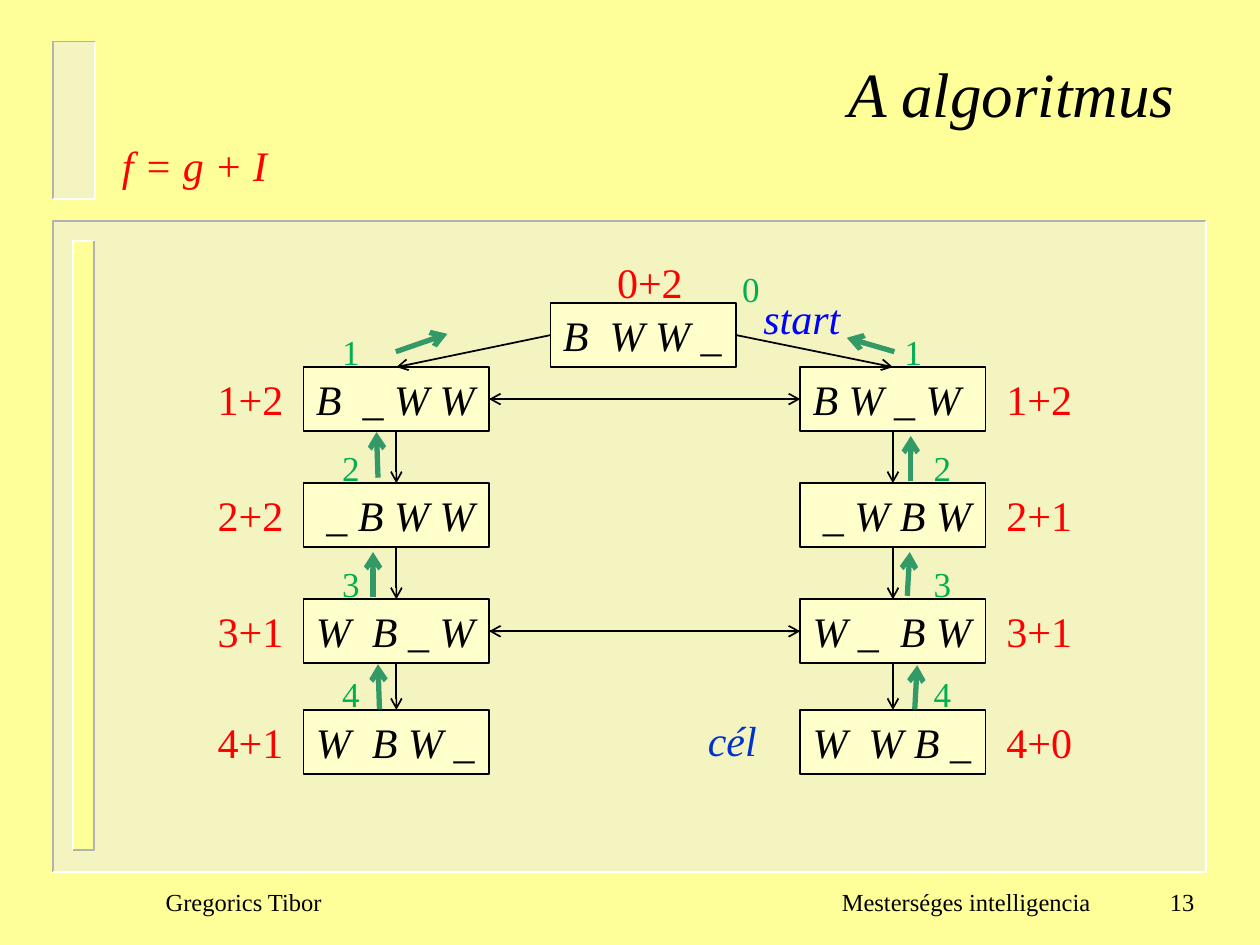
from typing import NamedTuple

from lxml import etree
from pptx import Presentation
from pptx import util as u
from pptx.dml.color import RGBColor
from pptx.enum import shapes as sh, text as tx
from pptx.oxml.ns import qn

FONT = "Times New Roman"
BLACK, RED, GREEN, ARROW = "000000", "FF0000", "00B050", "339966"
YELLOW, CREAM, PALE = "FFFF99", "FFFFCC", "EAEAEA"
GREY, WHITE = "B2B2B2", "FFFFFF"
ROWS = [7.4, 9.74, 12.08, 14.31]
BOX_W, BOX_H = 3.74, 1.29
TOP, LEFT, BOTTOM, RIGHT = range(4)


class Panel(NamedTuple):
    x: float
    y: float
    w: float
    h: float
    fill: str
    alpha: int
    upper: str
    lower: str


class Label(NamedTuple):
    text: str
    x: float
    y: float
    w: float
    size: int = 24
    color: str = RED
    italic: bool = False


class Branch(NamedTuple):
    x: float
    states: list[str]
    costs: list[str]
    cost_x: float
    depth_x: list[float]
    backs: list[tuple[float, float, float, float]]


PANELS = [
    Panel(1.07, 4.45, 23.24, 13.13, PALE, 50, GREY, WHITE),
    Panel(1.47, 4.86, 0.43, 12.28, YELLOW, 100, WHITE, GREY),
    Panel(1.07, 0.84, 0.85, 3.17, PALE, 50, GREY, WHITE),
]
BRANCHES = [
    Branch(6.12, ["B  _ W W", " _ B W W", "W  B _ W", "W  B W _"],
           ["1+2", "2+2", "3+1", "4+1"], 4.14, [6.65] * 4,
           [(7.98, 7.09, 9.02, 6.73), (7.62, 9.63, 7.59, 8.71),
            (7.52, 12.04, 7.52, 11.13), (7.65, 14.3, 7.62, 13.39)]),
    Branch(16.13, ["B W _ W", " _ W B W", "W _  B W", "W  W B _"],
           ["1+2", "2+1", "3+1", "4+0"], 20.04, [17.98] + [18.57] * 3,
           [(18.03, 7.09, 17.07, 6.81), (18.36, 9.7, 18.36, 8.79),
            (18.29, 12.01, 18.34, 11.13), (18.44, 14.3, 18.49, 13.41)]),
]
LABELS = [
    Label("f = g + I", 2.21, 2.69, 3.48, italic=True),
    Label("0+2", 12.19, 5.05, 1.85),
    Label("0", 14.71, 5.26, 1.07, 20, GREEN),
    Label("start", 15.14, 5.77, 2.08, color="0000FF", italic=True),
    Label("cél", 14.02, 14.27, 1.5, color="0033CC", italic=True),
]


def rgb(color: str) -> RGBColor:
    return RGBColor.from_string(color)


def style(shape, size: int, color: str, italic: bool = False) -> None:
    """Format every run of the shape's text."""
    for para in shape.text_frame.paragraphs:
        for run in para.runs:
            run.font.name = FONT
            run.font.size = u.Pt(size)
            run.font.italic = italic
            run.font.color.rgb = rgb(color)


def add_label(slide, label: Label, h: float = 1.27):
    box = slide.shapes.add_textbox(
        u.Cm(label.x), u.Cm(label.y), u.Cm(label.w), u.Cm(h))
    frame = box.text_frame
    frame.word_wrap = True
    frame.margin_right = 0
    frame.text = label.text
    style(box, label.size, label.color, label.italic)
    return box


def add_rect(slide, x: float, y: float, w: float, h: float, fill: str):
    rect = slide.shapes.add_shape(
        sh.MSO_SHAPE.RECTANGLE, u.Cm(x), u.Cm(y), u.Cm(w), u.Cm(h))
    rect.shadow.inherit = False
    rect.fill.solid()
    rect.fill.fore_color.rgb = rgb(fill)
    return rect


def add_panel(slide, panel: Panel) -> None:
    """Draw a filled panel with a bevel of two L-shaped edges."""
    x, y, w, h, fill, alpha, upper, lower = panel
    rect = add_rect(slide, x, y, w, h, fill)
    rect.line.fill.background()
    color = rect.fill._xPr.find(".//" + qn("a:srgbClr"))
    etree.SubElement(color, qn("a:alpha"), val=str(alpha * 1000))
    for corner, tint in (((x, y), upper), ((x + w, y + h), lower)):
        form = slide.shapes.build_freeform(u.Cm(x + w), u.Cm(y))
        points = [corner, (x, y + h)]
        form.add_line_segments([(u.Cm(a), u.Cm(b)) for a, b in points], close=False)
        edge = form.convert_to_shape()
        edge.shadow.inherit = False
        edge.fill.background()
        edge.line.color.rgb = rgb(tint)
        edge.line.width = u.Pt(1)


def add_state(slide, text: str, x: float, y: float):
    box = add_rect(slide, x, y, BOX_W, BOX_H, CREAM)
    box.line.color.rgb = rgb(BLACK)
    box.line.width = u.Pt(1)
    frame = box.text_frame
    frame.margin_right = 0
    frame.word_wrap = True
    frame.vertical_anchor = tx.MSO_ANCHOR.TOP
    frame.text = text
    frame.paragraphs[0].alignment = tx.PP_ALIGN.LEFT
    style(box, 24, BLACK, True)
    return box


def add_arrow(slide, ends=(0, 0, 0, 0), color: str = BLACK, width: float = 1):
    line = slide.shapes.add_connector(
        sh.MSO_CONNECTOR.STRAIGHT, *(u.Cm(end) for end in ends))
    line.line.color.rgb = rgb(color)
    line.line.width = u.Pt(width)
    etree.SubElement(line.line._get_or_add_ln(), qn("a:tailEnd"), type="arrow")
    etree.SubElement(line._element.spPr, qn("a:effectLst"))
    return line


def join(slide, start, side: int, end, other: int) -> None:
    line = add_arrow(slide)
    line.begin_connect(start, side)
    line.end_connect(end, other)


def add_branch(slide, branch: Branch) -> list:
    boxes = []
    for i, y in enumerate(ROWS):
        boxes.append(add_state(slide, branch.states[i], branch.x, y))
        add_label(slide, Label(branch.costs[i], branch.cost_x, y, 1.85))
        add_label(slide, Label(str(i + 1), branch.depth_x[i], y - 0.87,
                               0.95, 20, GREEN), 1.12)
        add_arrow(slide, branch.backs[i], ARROW, 3)
    for start, end in zip(boxes, boxes[1:]):
        join(slide, start, BOTTOM, end, TOP)
    return boxes


def add_title(slide) -> None:
    title = slide.shapes.title
    title.left, title.top = u.Cm(2.34), u.Cm(0.97)
    title.width, title.height = u.Cm(21.59), u.Cm(3.07)
    frame = title.text_frame
    frame.text = "A algoritmus"
    frame.vertical_anchor = tx.MSO_ANCHOR.TOP
    frame.paragraphs[0].alignment = tx.PP_ALIGN.RIGHT
    style(title, 36, BLACK, True)


def add_footer(slide) -> None:
    foot = add_label(slide, Label("Gregorics Tibor\tMesterséges intelligencia",
                                  3.09, 17.55, 19.4, 14, BLACK))
    props = foot.text_frame.paragraphs[0]._p.get_or_add_pPr()
    tabs = etree.SubElement(props, qn("a:tabLst"))
    etree.SubElement(tabs, qn("a:tab"), pos=str(u.Cm(18.65)), algn="r")
    page = add_label(slide, Label("13", 22.5, 17.55, 1.58, 14, BLACK))
    page.text_frame.paragraphs[0].alignment = tx.PP_ALIGN.RIGHT
    for box in (foot, page):
        box.text_frame.vertical_anchor = tx.MSO_ANCHOR.MIDDLE


def main() -> None:
    deck = Presentation()
    deck.slide_width, deck.slide_height = u.Cm(25.4), u.Cm(19.05)
    slide = deck.slides.add_slide(deck.slide_layouts[5])
    slide.background.fill.solid()
    slide.background.fill.fore_color.rgb = rgb(YELLOW)
    for panel in PANELS:
        add_panel(slide, panel)
    add_title(slide)
    root = add_state(slide, "B  W W _", 11.1, 6.11)
    west, east = (add_branch(slide, branch) for branch in BRANCHES)
    join(slide, root, LEFT, west[0], TOP)
    join(slide, root, RIGHT, east[0], TOP)
    for row in (0, 2):
        join(slide, west[row], RIGHT, east[row], LEFT)
        join(slide, east[row], LEFT, west[row], RIGHT)
    for label in LABELS:
        add_label(slide, label)
    add_footer(slide)
    deck.save("out.pptx")


if __name__ == "__main__":
    main()
